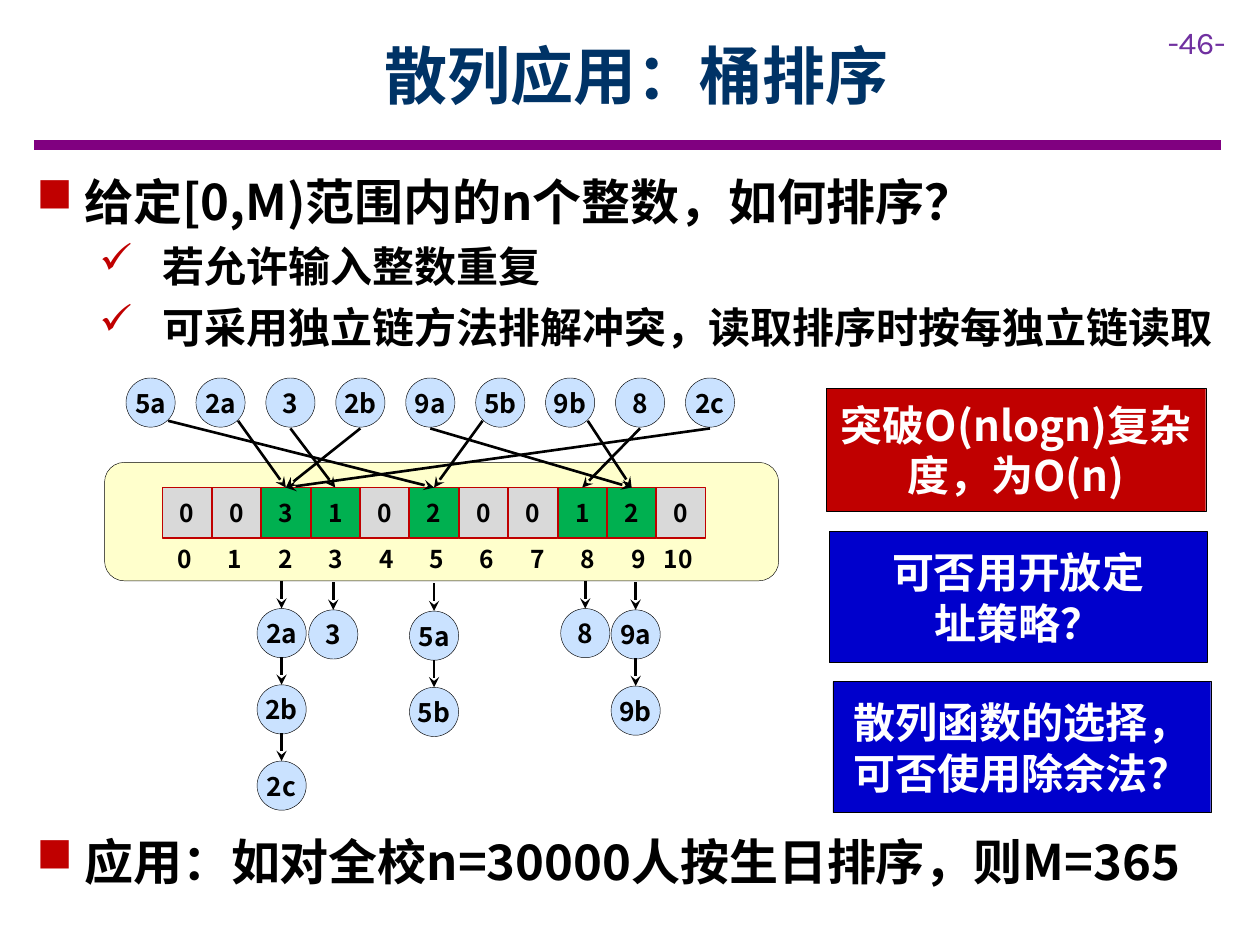
from typing import NamedTuple, Optional

from lxml import etree
from pptx import Presentation
from pptx import util as u
from pptx.dml.color import RGBColor
from pptx.enum import shapes, text
from pptx.oxml.ns import qn

BLACK = RGBColor(0, 0, 0)
WHITE = RGBColor(255, 255, 255)
RED = RGBColor(0xC0, 0, 0)
BLUE = RGBColor(0, 0, 0xCC)
NAVY = RGBColor(0, 0x33, 0x66)
PURPLE = RGBColor(0x80, 0, 0x80)
VIOLET = RGBColor(0x70, 0x30, 0xA0)
CREAM = RGBColor(0xFF, 0xFF, 0xCC)
PALE_BLUE = RGBColor(0xCA, 0xE2, 0xFF)
GREY = RGBColor(0xD9, 0xD9, 0xD9)
GREEN = RGBColor(0, 0xB0, 0x50)
FONT = "Noto Sans CJK SC"
NODE = 0.39
CENTER = text.PP_ALIGN.CENTER
MIDDLE = text.MSO_ANCHOR.MIDDLE


class Box(NamedTuple):
    left: float
    top: float
    width: float
    height: float


class Bullet(NamedTuple):
    symbol: str
    level: int
    margin: float
    hanging: float
    size: int


class Key(NamedTuple):
    label: str
    bucket: int
    side: int  # arrow leaves at bottom left (-1), bottom (0) or bottom right (1)


class Chain(NamedTuple):
    bucket: int
    left: float
    top: float
    labels: list[str]


class Callout(NamedTuple):
    box: Box
    fill: RGBColor
    lines: list[str]


SQUARE = Bullet("■", 0, 0.38, 0.38, 28)
CHECK = Bullet("✓", 1, 1, 0.5, 24)
KEYS = [Key("5a", 5, 1), Key("2a", 2, 1), Key("3", 3, 0), Key("2b", 2, 0),
        Key("9a", 9, 0), Key("5b", 5, -1), Key("9b", 9, 1), Key("8", 8, 0),
        Key("2c", 2, 0)]
COUNTS = [0, 0, 3, 1, 0, 2, 0, 0, 1, 2, 0]
CHAINS = [Chain(2, 2.04, 4.83, ["2a", "2b", "2c"]), Chain(3, 2.45, 4.84, ["3"]),
          Chain(5, 3.25, 4.85, ["5a", "5b"]), Chain(8, 4.45, 4.83, ["8"]),
          Chain(9, 4.85, 4.84, ["9a", "9b"])]
CALLOUTS = [
    Callout(Box(6.56, 3.08, 3.01, 0.98), RED, ["突破O(nlogn)复杂度，为O(n)"]),
    Callout(Box(6.58, 4.22, 3, 1.04), BLUE, ["可否用开放定", "址策略？"]),
    Callout(Box(6.61, 5.41, 3, 1.04), BLUE, ["散列函数的选择，可否使用除余法？"]),
]


def style(paragraph, size: int, color: RGBColor = BLACK, align=None,
          name: str = FONT, bold: bool = True) -> None:
    paragraph.alignment = align
    font = paragraph.font
    font.size, font.bold, font.name = u.Pt(size), bold, name
    font.color.rgb = color
    latin = font._element.find(qn("a:latin"))
    east_asian = etree.Element(qn("a:ea"), typeface=name)
    latin.addnext(east_asian)


def place(shape, box: Box) -> None:
    shape.left, shape.top, shape.width, shape.height = map(u.Inches, box)


def add_text(slide, box: Box, words: str, size: int, wrap: bool = True, **look):
    frame = slide.shapes.add_textbox(*map(u.Inches, box)).text_frame
    frame.word_wrap = wrap
    frame.text = words
    style(frame.paragraphs[0], size, **look)


def add_bullets(slide, box: Box, items: list[tuple[Bullet, str]]) -> None:
    frame = slide.shapes.add_textbox(*map(u.Inches, box)).text_frame
    frame.word_wrap = True
    for index, (bullet, words) in enumerate(items):
        paragraph = frame.paragraphs[0] if index == 0 else frame.add_paragraph()
        paragraph.text = words
        paragraph.level = bullet.level
        paragraph.space_after = u.Pt(6)
        properties = paragraph._p.get_or_add_pPr()
        properties.set("marL", str(u.Inches(bullet.margin)))
        properties.set("indent", str(-u.Inches(bullet.hanging)))
        color = etree.SubElement(properties, qn("a:buClr"))
        etree.SubElement(color, qn("a:srgbClr"), val=str(RED))
        etree.SubElement(properties, qn("a:buChar"), char=bullet.symbol)
        style(paragraph, bullet.size)


def add_block(slide, kind, box: Box, fill: RGBColor, lines: list[str], size: int = 15,
              color: RGBColor = BLACK, edge: RGBColor = BLACK, edge_width: float = 0.25,
              inset: tuple[float, float] = (0, 0)):
    shape = slide.shapes.add_shape(kind, *map(u.Inches, box))
    shape.shadow.inherit = False
    shape.fill.solid()
    shape.fill.fore_color.rgb = fill
    shape.line.color.rgb = edge
    shape.line.width = u.Pt(edge_width)
    frame = shape.text_frame
    frame.word_wrap = True
    frame.vertical_anchor = MIDDLE
    frame.margin_left = frame.margin_right = u.Inches(inset[0])
    frame.margin_top = frame.margin_bottom = u.Inches(inset[1])
    if lines:
        frame.text = "\n".join(lines)
        for paragraph in frame.paragraphs:
            style(paragraph, size, color, CENTER)
    return shape


def add_node(slide, left: float, top: float, label: str):
    return add_block(slide, shapes.MSO_SHAPE.OVAL, Box(left, top, NODE, NODE),
                     PALE_BLUE, [label], inset=(0, 0.1))


def add_line(slide, start: tuple[float, float], end: tuple[float, float],
             color: RGBColor = BLACK, width: float = 1.5, target: Optional[object] = None):
    line = slide.shapes.add_connector(
        shapes.MSO_CONNECTOR.STRAIGHT, *map(u.Inches, (*start, *end)))
    line.line.color.rgb = color
    line.line.width = u.Pt(width)
    if target is not None:
        line.end_connect(target, 0)
        etree.SubElement(line.line._get_or_add_ln(), qn("a:tailEnd"), type="stealth")
    etree.SubElement(line._element.spPr, qn("a:effectLst"))


def main() -> None:
    presentation = Presentation()
    presentation.slide_width, presentation.slide_height = u.Inches(10), u.Inches(7.5)
    slide = presentation.slides.add_slide(presentation.slide_layouts[5])

    # Heading, rule and page number
    title = slide.shapes.title
    place(title, Box(0.9, 0.09, 8.31, 1))
    title.text_frame.text = "散列应用：桶排序"
    title.text_frame.vertical_anchor = MIDDLE
    style(title.text_frame.paragraphs[0], 36, NAVY, CENTER)
    add_line(slide, (0.27, 1.15), (9.69, 1.15), PURPLE, 6)
    add_text(slide, Box(9.17, 0.13, 0.83, 0.4), "-46-", 18,
             color=VIOLET, name="Karla", bold=False)

    # Bulleted text
    add_bullets(slide, Box(0.19, 1.31, 9.69, 1.6), [
        (SQUARE, "给定[0,M)范围内的n个整数，如何排序？"),
        (CHECK, "若允许输入整数重复"),
        (CHECK, "可采用独立链方法排解冲突，读取排序时按每独立链读取")])
    add_bullets(slide, Box(0.19, 6.55, 9.69, 0.57), [
        (SQUARE, "应用：如对全校n=30000人按生日排序，则M=365")])

    # Bucket array with its indices
    add_block(slide, shapes.MSO_SHAPE.ROUNDED_RECTANGLE, Box(0.83, 3.67, 5.35, 0.94),
              CREAM, [])
    cells = []
    for index, count in enumerate(COUNTS):
        cells.append(add_block(
            slide, shapes.MSO_SHAPE.RECTANGLE, Box(1.29 + 0.392 * index, 3.87, 0.39, 0.4),
            GREEN if count else GREY, [str(count)], 14, edge=RED, edge_width=1))
        left, width = (1.31 + 0.4 * index, 0.32) if index < 10 else (5.17, 0.44)
        add_text(slide, Box(left, 4.27, width, 0.34), str(index), 14, wrap=False)

    # Input keys, each pointing at its bucket
    for index, key in enumerate(KEYS):
        left = 1 + 0.555 * index
        add_node(slide, left, 3, key.label)
        start = (left + NODE / 2 + 0.14 * key.side, 3.34 if key.side else 3.4)
        add_line(slide, start, (start[0], 3.87), target=cells[key.bucket])

    # Separate chains below the buckets
    for chain in CHAINS:
        for index, label in enumerate(chain.labels):
            top = chain.top + 0.605 * index
            node = add_node(slide, chain.left, top, label)
            center = chain.left + NODE / 2
            add_line(slide, (center, top - 0.22), (center, top), target=node)

    # Callouts
    for callout in CALLOUTS:
        add_block(slide, shapes.MSO_SHAPE.RECTANGLE, callout.box, callout.fill,
                  callout.lines, 24, WHITE, inset=(0.1, 0.1))

    presentation.save("out.pptx")


if __name__ == "__main__":
    main()
